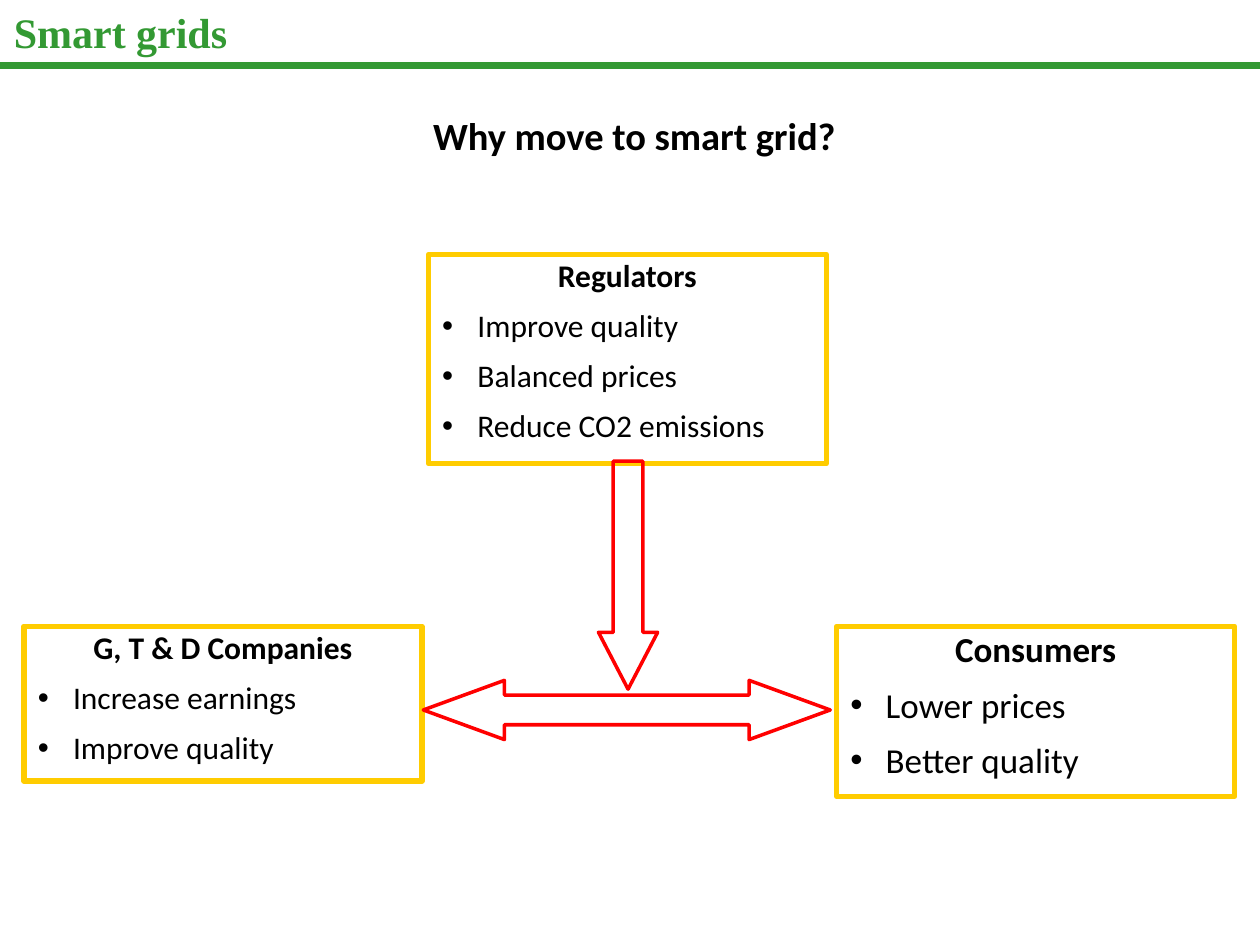
from lxml import etree
from pptx import Presentation
from pptx.dml.color import RGBColor
from pptx.enum import shapes, text
from pptx.oxml.ns import qn
from pptx.util import Inches, Pt

GREEN = RGBColor(0x33, 0x99, 0x33)
YELLOW = RGBColor(0xFF, 0xCC, 0x00)
RED = RGBColor(0xFF, 0x00, 0x00)
BLACK = RGBColor(0x00, 0x00, 0x00)

BOX_WIDTH = 3.16
BULLET_INDENT = Inches(0.28)

# left, top, height, text size, heading, points
STAKEHOLDERS = [
    (0.19, 4.97, 1.23, 18, "G, T & D Companies",
     ["Increase earnings", "Improve quality"]),
    (6.64, 4.97, 1.35, 20, "Consumers",
     ["Lower prices", "Better quality"]),
    (3.4, 2.02, 1.66, 18, "Regulators",
     ["Improve quality", "Balanced prices", "Reduce CO2 emissions"]),
]


def style_font(para, size, color=BLACK, bold=False, name="Calibri"):
    font = para.font
    font.name, font.size, font.bold = name, Pt(size), bold
    font.color.rgb = color


def set_frame(frame, anchor=text.MSO_ANCHOR.TOP):
    frame.word_wrap = True
    frame.auto_size = text.MSO_AUTO_SIZE.NONE
    frame.vertical_anchor = anchor
    frame.margin_left = frame.margin_right = Inches(0.11)
    frame.margin_top = frame.margin_bottom = Inches(0.05)


def add_bullet(para):
    props = para._p.get_or_add_pPr()
    props.set("marL", str(BULLET_INDENT))
    props.set("indent", str(-BULLET_INDENT))
    etree.SubElement(props, qn("a:buFont")).set("typeface", "Arial")
    etree.SubElement(props, qn("a:buChar")).set("char", "•")


def add_outline(page, kind, box, color, width):
    """Add an unfilled preset shape with a coloured outline."""
    shape = page.shapes.add_shape(kind, *map(Inches, box))
    shape.shadow.inherit = False
    shape.fill.background()
    shape.line.color.rgb = color
    shape.line.width = Pt(width)
    return shape


def add_header(page, left, top, width, height):
    title = page.shapes.title
    title.left, title.top = Inches(left), Inches(top)
    title.width, title.height = Inches(width), Inches(height)
    set_frame(title.text_frame, text.MSO_ANCHOR.MIDDLE)
    title.text_frame.text = "Smart grids"
    para = title.text_frame.paragraphs[0]
    para.alignment = text.PP_ALIGN.LEFT
    style_font(para, 24, GREEN, True, "Times New Roman")

    rule_top = Inches(top + height + 0.01)
    rule = page.shapes.add_connector(
        shapes.MSO_CONNECTOR.STRAIGHT,
        Inches(left), rule_top, Inches(left + width), rule_top)
    rule.line.color.rgb = GREEN
    rule.line.width = Pt(4.5)
    etree.SubElement(rule._element.spPr, qn("a:effectLst"))


def add_question(page, box):
    frame = page.shapes.add_textbox(*map(Inches, box)).text_frame
    set_frame(frame)
    para = frame.paragraphs[0]
    para.text = "Why move to smart grid?"
    para.alignment = text.PP_ALIGN.CENTER
    style_font(para, 22, bold=True)


def add_stakeholder(page, box, size, heading, points):
    shape = add_outline(page, shapes.MSO_SHAPE.RECTANGLE, box, YELLOW, 3)
    frame = shape.text_frame
    set_frame(frame)
    for index, line in enumerate([heading, *points]):
        para = frame.add_paragraph() if index else frame.paragraphs[0]
        para.text = line
        para.line_spacing = 0.9
        if index:
            para.alignment = text.PP_ALIGN.JUSTIFY
            para.space_before = Pt(size / 2)
            add_bullet(para)
        else:
            para.alignment = text.PP_ALIGN.CENTER
        style_font(para, size, bold=index == 0)


def add_arrow(page, kind, box, head_length):
    """Add a block arrow; head_length is a share of its thickness."""
    arrow = add_outline(page, kind, box, RED, 2)
    arrow.adjustments[0] = 0.5
    arrow.adjustments[1] = head_length


def main():
    deck = Presentation()
    deck.slide_width, deck.slide_height = Inches(10), Inches(7.5)
    page = deck.slides.add_slide(deck.slide_layouts.get_by_name("Title Only"))

    add_header(page, 0, 0, 10, 0.51)
    add_question(page, (0.07, 0.84, 9.93, 0.48))
    for left, top, height, size, heading, points in STAKEHOLDERS:
        box = (left, top, BOX_WIDTH, height)
        add_stakeholder(page, box, size, heading, points)
    add_arrow(page, shapes.MSO_SHAPE.DOWN_ARROW, (4.75, 3.66, 0.47, 1.81), 0.96)
    add_arrow(page, shapes.MSO_SHAPE.LEFT_RIGHT_ARROW, (3.36, 5.4, 3.23, 0.47), 1.37)
    deck.save("out.pptx")


if __name__ == "__main__":
    main()
